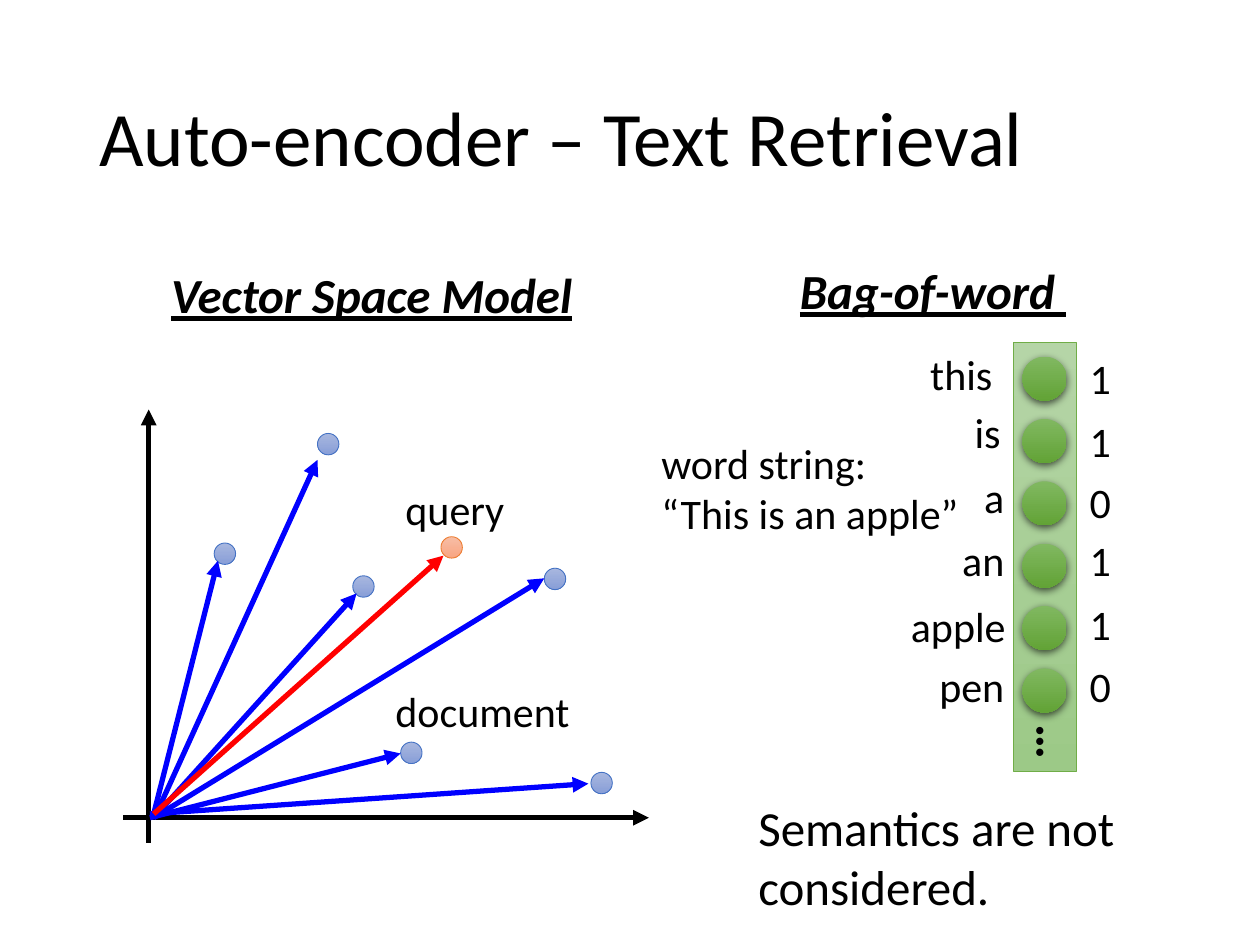
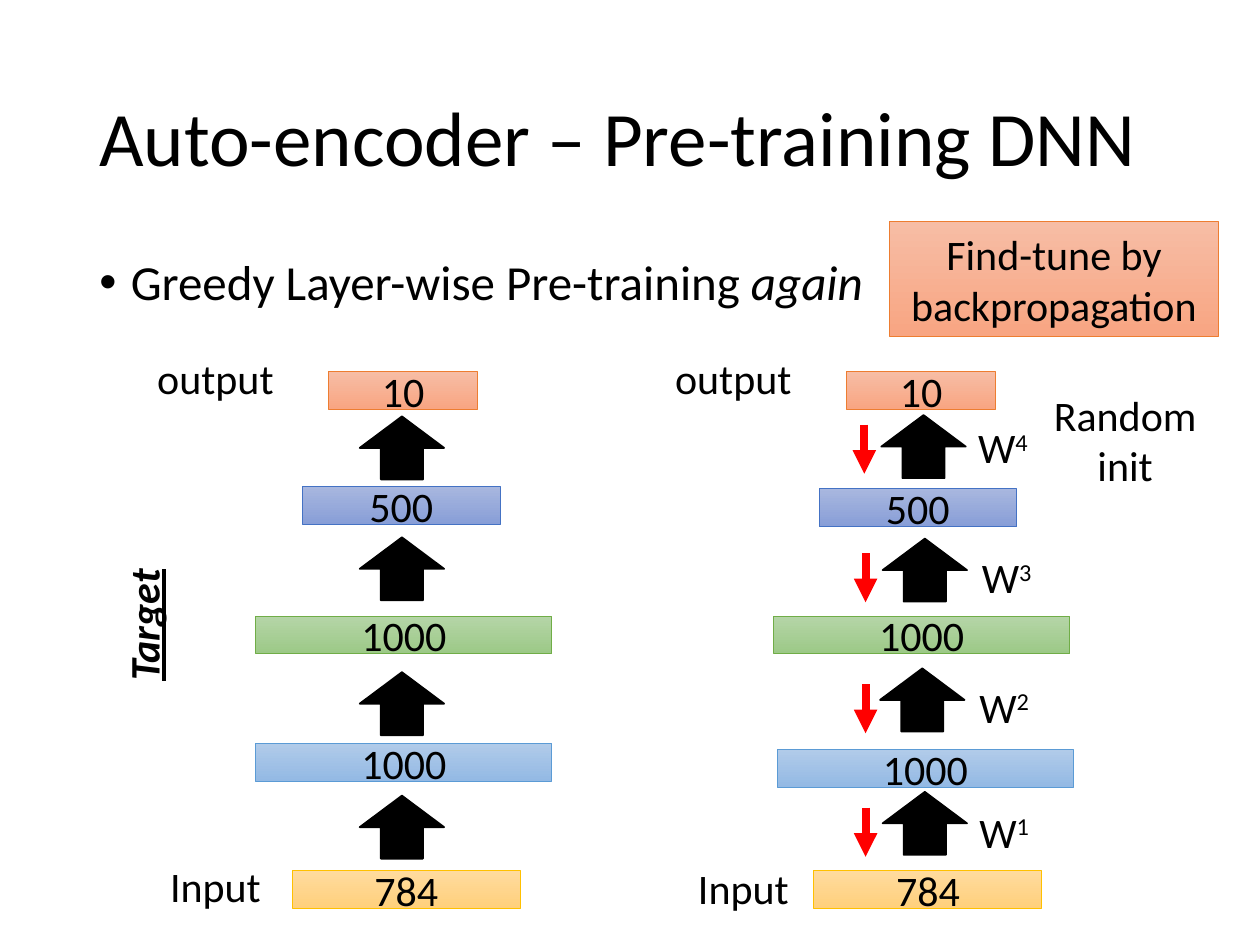
from lxml import etree
from pptx import Presentation
from pptx.dml.color import RGBColor
from pptx.enum.shapes import MSO_CONNECTOR, MSO_SHAPE
from pptx.enum.text import MSO_ANCHOR, PP_ALIGN
from pptx.oxml.ns import qn
from pptx.util import Inches, Pt

LEFT, CENTER, RIGHT = PP_ALIGN.LEFT, PP_ALIGN.CENTER, PP_ALIGN.RIGHT
MIDDLE = MSO_ANCHOR.MIDDLE
RECT, OVAL, UP_ARROW = MSO_SHAPE.RECTANGLE, MSO_SHAPE.OVAL, MSO_SHAPE.UP_ARROW
STRAIGHT = MSO_CONNECTOR.STRAIGHT
FONT = "Calibri"
BLACK, BLUE, RED = "000000", "0000FF", "FF0000"
ORANGE = ("F7BDA5", "F8A582", "ED7D31")
INDIGO = ("A8B7DF", "889ED7", "4472C4")
GREEN = ("B5D5A7", "9CC987", "70AD47")
SKY = ("B1CBE9", "93B9E4", "5B9BD5")
GOLD = ("FFDB9E", "FFD07C", "FFC000")
LEAF = ("81B861", "62A336", None)
SOLID_BLACK = (BLACK, BLACK, BLACK)

colour = RGBColor.from_string
deck = Presentation()
deck.slide_width, deck.slide_height = Inches(10), Inches(7.5)
cell = deck.slide_width / 100


def place(page, box, text="", kind=None, palette=None, size=24, align=LEFT, styled=False):
    bounds = [round(cell * value) for value in box]
    if kind is None:
        shape = page.shapes.add_textbox(*bounds)
    else:
        shape = page.shapes.add_shape(kind, *bounds)
        top, bottom, edge = palette
        if top == bottom:
            shape.fill.solid()
            shape.fill.fore_color.rgb = colour(top)
        else:
            shape.fill.gradient()
            shape.fill.gradient_angle = 270
            for stop, tone in zip(shape.fill.gradient_stops, (top, bottom)):
                stop.color.rgb = colour(tone)
                stop.position = 0 if tone == top else 1
        if edge:
            shape.line.color.rgb = colour(edge)
            shape.line.width = Pt(0.5)
        else:
            shape.line.fill.background()
        shape.shadow.inherit = False
    frame = shape.text_frame
    frame.word_wrap = True
    for index, line in enumerate(text.split("\n") if text else []):
        para = frame.add_paragraph() if index else frame.paragraphs[0]
        para.text = line
        para.alignment = align
        para.font.name, para.font.size = FONT, Pt(size)
        para.font.color.rgb = colour(BLACK)
        if styled:
            para.font.bold = para.font.italic = para.font.underline = True
    return shape


def draw_arrow(page, start, end, tone, width):
    ends = [round(cell * value) for value in (*start, *end)]
    arrow = page.shapes.add_connector(STRAIGHT, *ends)
    arrow.line.color.rgb = colour(tone)
    arrow.line.width = Pt(width)
    etree.SubElement(arrow.line._get_or_add_ln(), qn("a:tailEnd"), type="triangle")
    etree.SubElement(arrow._element.spPr, qn("a:effectLst"))


pages = []
for heading in ("Text Retrieval", "Pre-training DNN"):
    page = deck.slides.add_slide(deck.slide_layouts[6])
    title = place(page, (6.9, 4, 86.2, 14.5), "Auto-encoder – " + heading, size=44)
    title.text_frame.vertical_anchor = MIDDLE
    title.text_frame.paragraphs[0].line_spacing = 0.9
    pages.append(page)
retrieval, training = pages

place(retrieval, (12.6, 20.5, 36.1, 5.7), "Vector Space Model", size=28, styled=True)
place(retrieval, (62.5, 20.2, 23.4, 5.7), "Bag-of-word ", size=28, styled=True)
place(retrieval, (51.5, 34.2, 31.1, 9.1), "word string:\n“This is an apple”")
place(retrieval, (59.2, 62.8, 35.2, 10.4), "Semantics are not considered.", size=28)

place(retrieval, (80.4, 27.2, 5, 34), kind=RECT, palette=GREEN)
words = [
    ("this ", 80.5, 27.2, "1", 27.5),
    ("is", 80.4, 31.8, "1", 32.5),
    ("a", 80.7, 36.9, "0", 37.3),
    ("an", 80.7, 41.9, "1", 41.9),
    ("apple", 80.8, 47.2, "1", 47),
    ("pen", 80.7, 51.9, "0", 51.9),
]
for row, (word, right, word_top, count, count_top) in enumerate(words):
    neuron = place(retrieval, (81.15, 28.3 + 4.95 * row, 3.5, 3.5), kind=OVAL, palette=LEAF)
    effects = neuron._element.spPr.find(qn("a:effectLst"))
    shadow = etree.SubElement(effects, qn("a:outerShdw"), blurRad="57150", dist="19050",
                              dir="5400000", algn="ctr", rotWithShape="0")
    shade = etree.SubElement(shadow, qn("a:srgbClr"), val=BLACK)
    etree.SubElement(shade, qn("a:alpha"), val="63000")
    place(retrieval, (right - 10.6, word_top, 10.6, 5), word, align=RIGHT)
    place(retrieval, (85.5, count_top, 3.3, 5), count)
dots = place(retrieval, (81.5, 56, 4.6, 5.7), "…", size=28)
dots.rotation = 90
dots.text_frame.paragraphs[0].font.bold = True

draw_arrow(retrieval, (9.8, 64.9), (51.5, 64.9), BLACK, 3)
draw_arrow(retrieval, (11.8, 66.9), (11.8, 32.5), BLACK, 3)
vectors = [
    ((12.2, 64.6), (17.3, 44.5), (17, 43.1), BLUE, INDIGO),
    ((11.9, 64.9), (31.8, 59.8), (31.8, 58.9), BLUE, INDIGO),
    ((11.9, 64.6), (46.7, 62.2), (46.9, 61.3), BLUE, INDIGO),
    ((12.2, 64.9), (43.2, 45.9), (43.2, 45.1), BLUE, INDIGO),
    ((12.4, 64.6), (25.2, 36.5), (25.2, 34.4), BLUE, INDIGO),
    ((12.2, 64.9), (28.3, 47.1), (28, 45.7), BLUE, INDIGO),
    ((12.2, 64.6), (35.2, 44.1), (35, 42.6), RED, ORANGE),
]
for start, end, corner, tone, palette in vectors:
    place(retrieval, (*corner, 1.7, 1.7), kind=OVAL, palette=palette)
    draw_arrow(retrieval, start, end, tone, 3)
place(retrieval, (30.4, 53.9, 16.2, 5), "document")
place(retrieval, (28, 37.9, 16.2, 5), "query", align=CENTER)

body = place(training, (6.9, 20, 86.2, 47.6), "Greedy Layer-wise Pre-training ", size=28)
bullet = body.text_frame.paragraphs[0]
bullet.line_spacing, bullet.space_before = 0.9, Pt(10)
span = bullet.add_run()
span.text = "again"
span.font.italic = True
settings = bullet._p.get_or_add_pPr()
settings.set("marL", str(Inches(0.25)))
settings.set("indent", str(Inches(-0.25)))
mark = etree.Element(qn("a:buChar"), char="•")
settings.find(qn("a:defRPr")).addprevious(mark)
mark.addprevious(etree.Element(qn("a:buFont"), typeface="Arial"))

place(training, (4.3, 47.1, 14.1, 5), "Target", align=CENTER, styled=True).rotation = 270
place(training, (70.6, 17.6, 26.1, 9.1), "Find-tune by backpropagation", RECT, ORANGE, align=CENTER)
place(training, (82.6, 30.4, 13.4, 9.1), "Random init", align=CENTER)

layers = [
    ("10", 11.8, ORANGE, (26.1, 29.5), (67.2, 29.5)),
    ("500", 15.7, INDIGO, (24, 38.6), (65, 38.8)),
    ("1000", 23.5, GREEN, (20.3, 48.9), (61.4, 48.9)),
    ("1000", 23.5, SKY, (20.3, 59), (61.7, 59.5)),
    ("784", 18.1, GOLD, (23.2, 69.1), (64.6, 69.1)),
]
for units, width, palette, *corners in layers:
    for corner in corners:
        place(training, (*corner, width, 3), units, RECT, palette, align=CENTER)

ends = [("output", 11.1, 27.5), ("output", 52.2, 27.5), ("Input", 11.1, 67.8), ("Input", 53, 68)]
for text, left, top in ends:
    place(training, (left, top, 12, 5), text, align=CENTER)

weights = [
    ("4", 33.05, (69.95, 32.95), (73.6, 33), (68.6, 33.7)),
    ("3", 42.65, (70.05, 42.75), (73.9, 43.3), (68.7, 43.9)),
    ("2", 53.35, (69.85, 53.05), (73.7, 53.6), (68.7, 54.3)),
    ("1", 63.15, (70.05, 62.85), (73.7, 63.5), (68.7, 64.1)),
]
for number, target_top, corner, label, (x, y) in weights:
    for spot in ((28.55, target_top), corner):
        place(training, (*spot, 6.7, 5), kind=UP_ARROW, palette=SOLID_BLACK).line.width = Pt(1)
    weight = place(training, (*label, 12, 5), "W", align=CENTER)
    span = weight.text_frame.paragraphs[0].add_run()
    span.text = number
    span._r.get_or_add_rPr().set("baseline", "30000")
    draw_arrow(training, (x, y), (x, y + 3.9), RED, 4.5)

deck.save("out.pptx")
